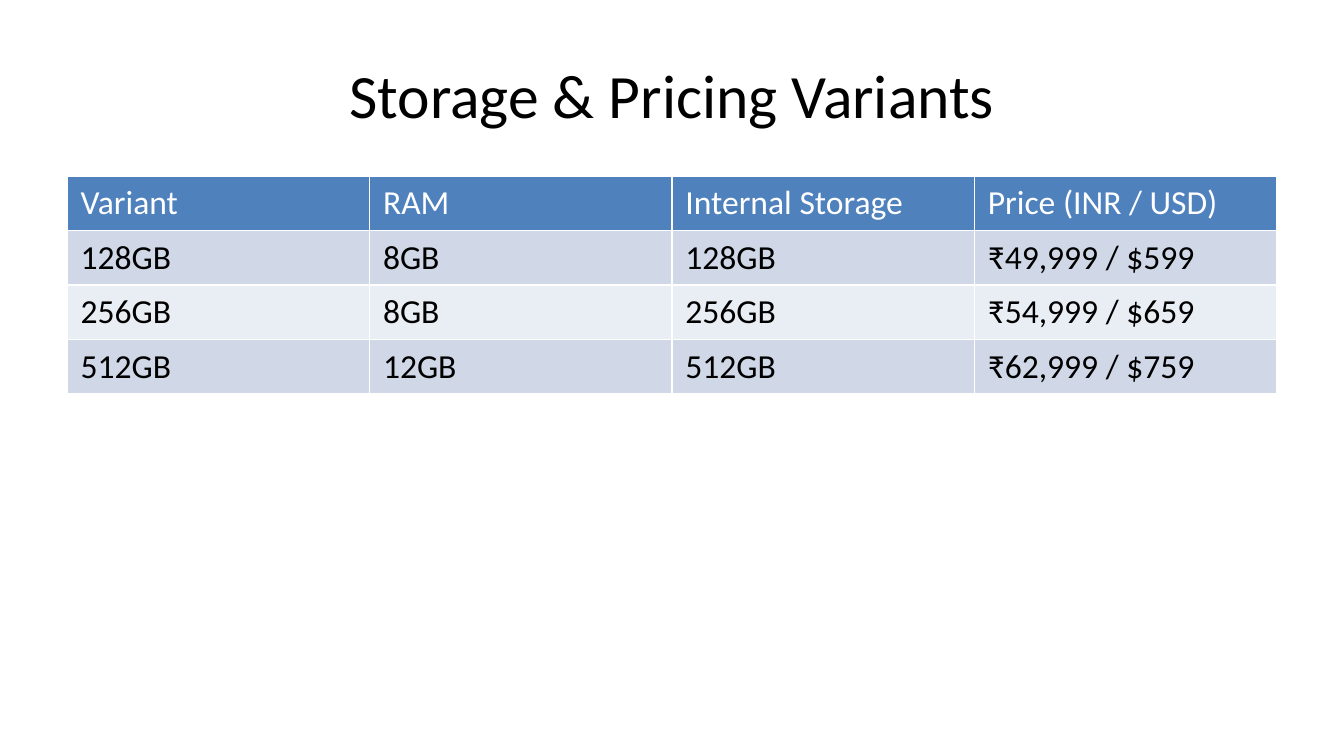
"""Build a slide with a table of storage and pricing variants."""
from pptx import Presentation
from pptx import util as u
from pptx.dml.color import RGBColor
from pptx.enum import text

BLACK = RGBColor(0x00, 0x00, 0x00)
WHITE = RGBColor(0xFF, 0xFF, 0xFF)
HEADER = RGBColor(0x4F, 0x81, 0xBD)
BAND_DARK = RGBColor(0xD0, 0xD8, 0xE8)
BAND_LIGHT = RGBColor(0xE9, 0xED, 0xF4)

ROWS = [
    ("Variant", "RAM", "Internal Storage", "Price (INR / USD)"),
    ("128GB", "8GB", "128GB", "₹49,999 / $599"),
    ("256GB", "8GB", "256GB", "₹54,999 / $659"),
    ("512GB", "12GB", "512GB", "₹62,999 / $759"),
]
FILLS = [HEADER, BAND_DARK, BAND_LIGHT, BAND_DARK]


def add_run(p, content, size, color):
    r = p.add_run()
    r.text = content
    r.font.name = "Calibri"
    r.font.size = u.Pt(size)
    r.font.bold = False
    r.font.color.rgb = color


prs = Presentation()
prs.slide_width = u.Inches(10)
prs.slide_height = u.Inches(10 * 9 / 16)
s = prs.slides.add_slide(prs.slide_layouts[5])

title = s.shapes.title
title.left, title.top = u.Inches(0.5), u.Inches(0.23)
title.width, title.height = u.Inches(9), u.Inches(0.94)
tf = title.text_frame
tf.word_wrap = True
tf.vertical_anchor = text.MSO_ANCHOR.MIDDLE
p = tf.paragraphs[0]
p.alignment = text.PP_ALIGN.CENTER
add_run(p, "Storage & Pricing Variants", 33, BLACK)

frame = s.shapes.add_table(
    len(ROWS), len(ROWS[0]),
    u.Inches(0.5), u.Inches(1.31), u.Inches(9), u.Inches(3.71),
)
table = frame.table
for i, (row, fill) in enumerate(zip(ROWS, FILLS)):
    table.rows[i].height = u.Inches(0)
    for j, content in enumerate(row):
        cell = table.cell(i, j)
        cell.fill.solid()
        cell.fill.fore_color.rgb = fill
        add_run(cell.text_frame.paragraphs[0], content, 18, BLACK if i else WHITE)
frame.height = u.Inches(3.71)

prs.save("out.pptx")
